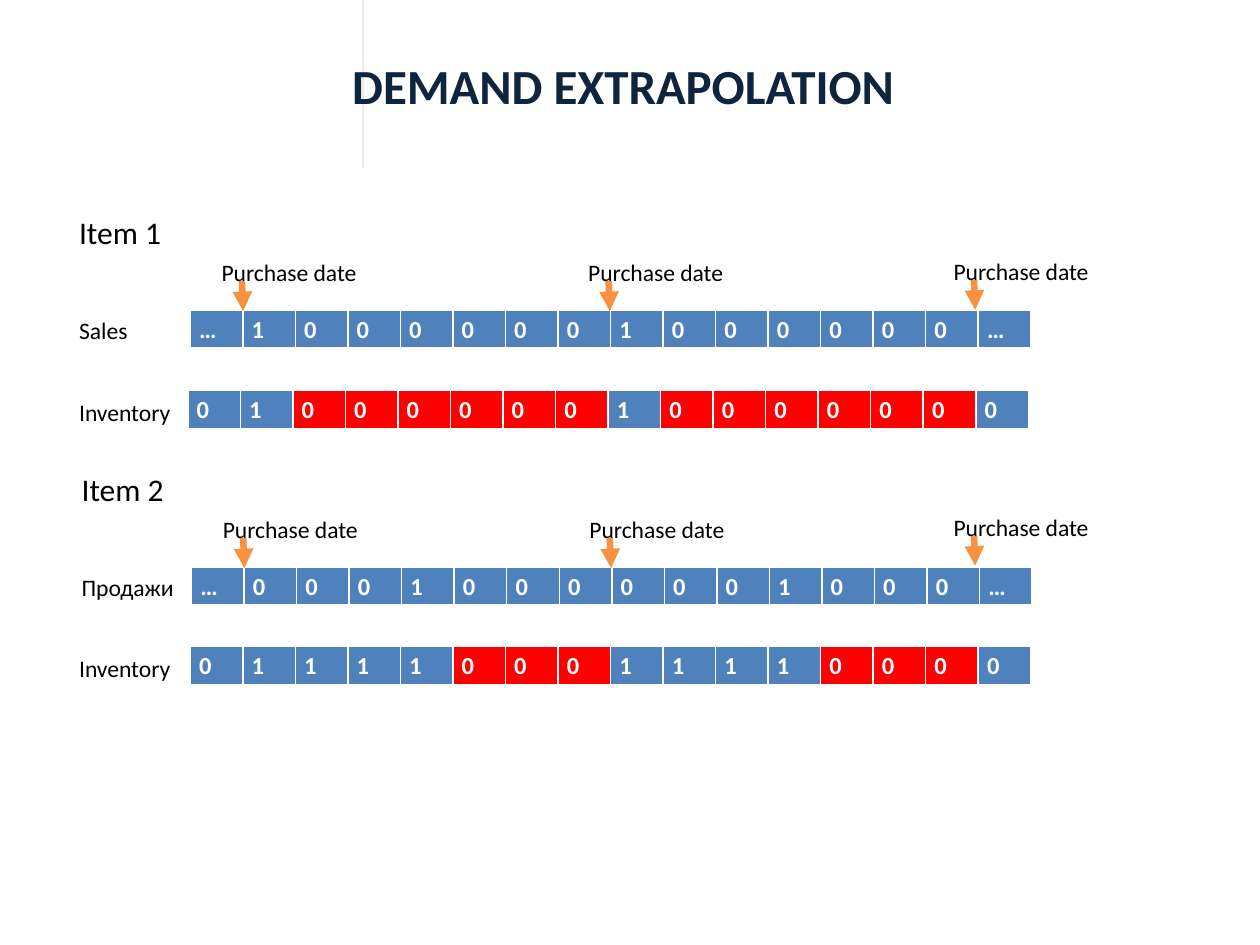
from lxml.etree import SubElement
from pptx import Presentation
from pptx.dml.color import RGBColor
from pptx.enum.shapes import MSO_CONNECTOR
from pptx.enum.text import MSO_ANCHOR, PP_ALIGN
from pptx.oxml.ns import qn
from pptx.util import Inches, Pt

COLORS = {
    "title": "0F243E",
    "text": "000000",
    "white": "FFFFFF",
    "cell": "4F81BD",
    "shortage": "FF0000",
    "arrow": "F69240",
    "rule": "EEECE1",
}
FONT = "Calibri"
COL_W = 0.417
ROW_H = 0.3

# Each row: label, label position, values, table position
# Each date: label position; its arrow is placed relative to it
ITEMS = [
    {
        "name": "Item 1", "at": (0.53, 1.64),
        "sales": ("Sales", (0.53, 2.46), "…10000001000000…", (1.51, 2.46)),
        "inventory": ("Inventory", (0.53, 3.11), "0100000010000000", (1.49, 3.1)),
        "dates": [(1.66, 2), (4.57, 2), (7.47, 1.99)],
    },
    {
        "name": "Item 2", "at": (0.55, 3.68),
        "sales": ("Продажи", (0.55, 4.5), "…00010000001000…", (1.52, 4.5)),
        "inventory": ("Inventory", (0.53, 5.14), "0111100011110000", (1.51, 5.13)),
        "dates": [(1.67, 4.04), (4.58, 4.04), (7.47, 4.02)],
    },
]


def rgb(name):
    return RGBColor.from_string(COLORS[name])


def add_run(p, text, size, color, bold=False):
    r = p.add_run()
    r.text = text
    r.font.name = FONT
    r.font.size = Pt(size)
    r.font.bold = bold
    r.font.color.rgb = rgb(color)


def add_text(s, text, at, size, width, height=0.33, wrap=True, color="text", bold=False):
    sp = s.shapes.add_textbox(*map(Inches, (*at, width, height)))
    tf = sp.text_frame
    tf.word_wrap = wrap
    add_run(tf.paragraphs[0], text, size, color, bold)
    return tf


def add_line(s, start, end, color, width, arrow=False):
    line = s.shapes.add_connector(MSO_CONNECTOR.STRAIGHT, *map(Inches, (*start, *end)))
    line.line.color.rgb = rgb(color)
    line.line.width = Pt(width)
    if arrow:
        SubElement(line.line._get_or_add_ln(), qn("a:tailEnd"), type="triangle")
    SubElement(line._element.spPr, qn("a:effectLst"))


def set_borders(cell):
    tcPr = cell._tc.get_or_add_tcPr()
    for side, width in (("L", 1), ("R", 1), ("T", 1), ("B", 3)):
        ln = SubElement(tcPr, qn(f"a:ln{side}"), w=str(Pt(width)))
        fill = SubElement(ln, qn("a:solidFill"))
        SubElement(fill, qn("a:srgbClr"), val=COLORS["white"])


def add_series(s, values, at, mark_shortage):
    """One-row table; zeros between the two end cells can be marked as shortage."""
    n = len(values)
    size = (COL_W * n, ROW_H)
    table = s.shapes.add_table(1, n, *map(Inches, (*at, *size))).table
    for i, value in enumerate(values):
        table.columns[i].width = Inches(COL_W)
        cell = table.cell(0, i)
        cell.margin_left = cell.margin_right = Inches(0.07)
        cell.margin_top = cell.margin_bottom = Inches(0.04)
        set_borders(cell)
        short = mark_shortage and value == "0" and 0 < i < n - 1
        cell.fill.solid()
        cell.fill.fore_color.rgb = rgb("shortage" if short else "cell")
        add_run(cell.text_frame.paragraphs[0], value, 14, "white", True)


def add_purchase_date(s, x, y):
    add_line(s, (x + 0.26, y + 0.23), (x + 0.27, y + 0.47), "arrow", 3.75, arrow=True)
    add_text(s, "Purchase date", (x, y), 13.5, 1.29, wrap=False)


def add_item(s, item):
    add_text(s, item["name"], item["at"], 18, 4.96, 0.4)
    for key in ("sales", "inventory"):
        label, label_at, values, table_at = item[key]
        add_text(s, label, label_at, 13.5, 1.13)
        add_series(s, values, table_at, key == "inventory")
    for x, y in item["dates"]:
        add_purchase_date(s, x, y)


def add_title(s, text):
    tf = add_text(s, text, (0.35, 0.39), 28, 9.19, 0.57, color="title", bold=True)
    tf.vertical_anchor = MSO_ANCHOR.MIDDLE
    tf.paragraphs[0].alignment = PP_ALIGN.CENTER


def main():
    prs = Presentation()
    prs.slide_width, prs.slide_height = Inches(10), Inches(7.5)
    s = prs.slides.add_slide(prs.slide_layouts[6])
    add_line(s, (2.88, 0), (2.88, 1.33), "rule", 1)
    add_title(s, "DEMAND EXTRAPOLATION")
    for item in ITEMS:
        add_item(s, item)
    prs.save("out.pptx")


if __name__ == "__main__":
    main()
